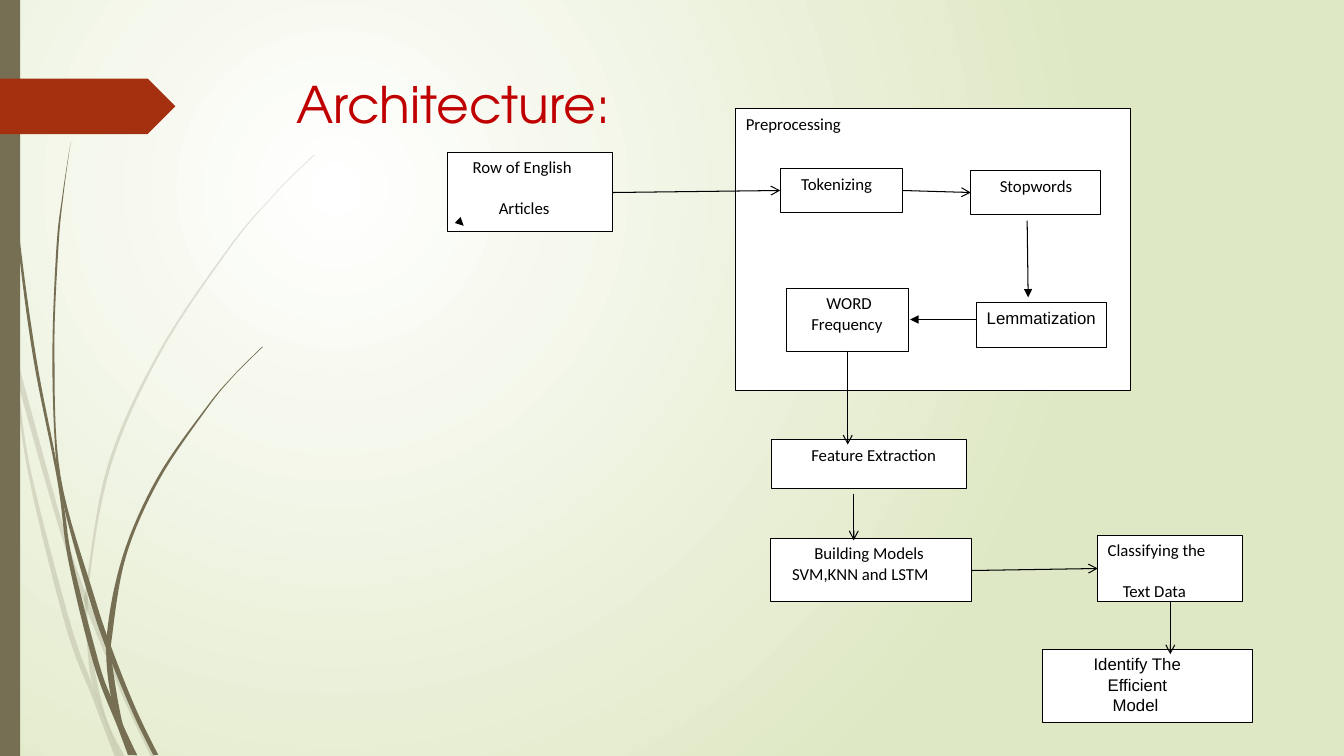
from dataclasses import dataclass

from lxml.etree import SubElement as Sub
from pptx import Presentation
from pptx.dml.color import RGBColor as RGB
from pptx.enum.shapes import MSO_CONNECTOR as Link, MSO_SHAPE as Kind
from pptx.enum.text import MSO_ANCHOR as Anchor, PP_ALIGN as Align
from pptx.oxml import parse_xml
from pptx.oxml.ns import nsdecls, qn
from pptx.util import Inches, Pt

# Grid: cells of a tenth of an inch, 133.33 columns by 75 rows
COLS, ROWS = 133.33, 75
BLACK = RGB(0x00, 0x00, 0x00)
WHITE = RGB(0xFF, 0xFF, 0xFF)
GREEN = RGB(0xDF, 0xE8, 0xC4)
OLIVE = RGB(0x76, 0x6F, 0x54)
RUST = RGB(0xA5, 0x30, 0x10)
RED = RGB(0xC0, 0x00, 0x00)
Point = tuple[float, float]


@dataclass
class Line:
    text: str
    indent: float = 0
    gap: float = 0


@dataclass
class Box:
    col: float
    row: float
    wide: float
    high: float
    lines: list[Line]
    font: str = "Calibri"


@dataclass
class Arrow:
    start: Point
    end: Point
    head: str = "arrow"


@dataclass
class Blade:
    left: list[Point]
    right: list[Point]
    alpha: int = 100


BLADES = [
    # Faded blades
    Blade([(0, 29.9), (1.1, 35), (2.8, 47), (6.5, 62.1), (9.2, 69.3), (11.4, 75.1)],
          [(11.9, 75.1), (9.3, 68.3), (7, 61.9), (3.1, 46.9), (1.7, 37.6),
           (0.9, 32.2), (0, 28.2)], 20),
    Blade([(1.4, 34.5), (1.7, 37.6), (5.8, 52.2), (8.4, 59.9), (8.8, 61),
           (12.3, 69.4), (15, 75.1)],
          [(15.5, 75.1), (12.7, 69.2), (8.8, 59.6), (6.2, 52), (1.4, 34.5)], 20),
    Blade([(31.2, 15.3), (28.9, 17.5), (26.8, 19.7), (22.8, 24.4), (15.8, 34.8),
           (10.7, 46.1), (8.5, 58.4), (8.4, 59.9), (8.7, 64.6), (9.3, 68.3),
           (11.9, 75.1)],
          [(12.4, 75.1), (10.5, 71.1), (9.1, 64.6), (8.8, 58.4), (11, 46.2),
           (16, 34.9), (22.9, 24.5), (26.8, 19.8), (29, 17.5), (31.2, 15.4)], 20),
    # Solid blades
    Blade([(0.3, 0), (0.7, 11), (1.7, 23.3), (3.3, 35.5), (5.7, 47.7), (6.8, 55.7),
           (9.3, 65.9), (11.7, 72.2), (12.7, 74.9)],
          [(13.6, 74.9), (12.2, 71.9), (11, 69.1), (9.8, 65.7), (7.2, 55.6),
           (6.4, 50.5), (5.5, 45.3), (3.6, 35.5), (1.9, 23.2), (0.8, 10.9), (0.4, 0)]),
    Blade([(7, 14.1), (6.2, 19.3), (5.6, 24.5), (5.2, 34.9), (5.5, 44.9), (6.4, 50.5),
           (8.8, 59.2), (10.6, 64.5), (13.2, 70.8), (15.2, 74.9)],
          [(15.7, 74.9), (13.6, 70.6), (11.3, 64.9), (9.3, 59), (6, 47.2),
           (5.4, 34.9), (5.8, 24.5), (6.3, 19.3), (7, 14.1)]),
    Blade([(26, 34.4), (23.1, 37.3), (20.4, 40.5), (15.6, 47.4), (12.2, 55.1),
           (10.6, 63.1), (11, 69.1), (12.2, 72.2), (13.3, 74.9)],
          [(13.6, 74.9), (12.2, 71.9), (11.1, 65.6), (11.1, 63.3), (12.5, 55.2),
           (15.8, 47.6), (20.5, 40.6), (23.1, 37.4), (26.1, 34.4)]),
]

BOXES = [
    Box(44.4, 15.1, 16.4, 7.9, [Line("Row of English", 1.5), Line("Articles", 4.1, 2)]),
    Box(73, 10.8, 39.2, 27.9, [Line("Preprocessing")]),
    Box(77.4, 16.7, 12.1, 4.4, [Line("Tokenizing", 1.1)]),
    Box(96.3, 16.9, 12.9, 4.4, [Line("Stopwords", 1.9)]),
    Box(78, 28.6, 12.1, 6.3, [Line("WORD", 3), Line("Frequency", 1.5)]),
    Box(96.9, 30, 12.9, 4.5, [Line("Lemmatization")], "Arial"),
    Box(76.5, 43.6, 19.4, 4.9, [Line("Feature Extraction", 3)]),
    Box(76.4, 53.4, 20, 6.3,
        [Line("Building Models", 3.4), Line("SVM,KNN and LSTM", 1.2)]),
    Box(108.9, 53.1, 14.4, 6.6, [Line("Classifying the"), Line("Text Data", 1.5, 2)]),
    Box(103.4, 64.4, 20.9, 7.3,
        [Line("Identify The", 4.1), Line("Efficient", 5.5), Line("Model", 6)], "Arial"),
]

ARROWS = [
    Arrow((101.9, 21.9), (102, 29.5), "triangle"),
    Arrow((45.9, 22.3), (46, 22.4), "triangle"),
    Arrow((96.9, 31.7), (90.3, 31.7), "triangle"),
    Arrow((84.1, 34.8), (84.1, 44.1)),
    Arrow((84.7, 49), (84.7, 53.6)),
    Arrow((96.4, 56.6), (108.9, 56.4)),
    Arrow((60.8, 19.1), (77.4, 18.9)),
    Arrow((89.5, 18.9), (96.3, 19.1)),
    Arrow((116.1, 59.7), (116.1, 64.9)),
]


def cell(*counts: float) -> list[int]:
    return [Inches(count / 10) for count in counts]


def paint(shape, color: RGB) -> None:
    shape.shadow.inherit = False
    shape.fill.solid()
    shape.fill.fore_color.rgb = color
    shape.line.fill.background()


def style(run, font: str, size: float, color: RGB) -> None:
    run.font.name, run.font.size = font, Pt(size)
    run.font.color.rgb = color


def curve(knots: list[Point], steps: int = 8) -> list[Point]:
    """Smooth curve through all the knots (Catmull-Rom)."""
    ends = [knots[0], *knots, knots[-1]]
    out = [knots[0]]
    for a, b, c, d in zip(ends, ends[1:], ends[2:], ends[3:]):
        for step in range(1, steps + 1):
            t = step / steps
            out.append(tuple(
                (2 * q + (r - p) * t + (2 * p - 5 * q + 4 * r - s) * t ** 2
                 + (3 * q - p - 3 * r + s) * t ** 3) / 2
                for p, q, r, s in zip(a, b, c, d)))
    return out


def draw_blade(shapes, blade: Blade) -> None:
    first, *rest = [cell(*spot) for spot in curve(blade.left) + curve(blade.right)]
    pen = shapes.build_freeform(*first)
    pen.add_line_segments(rest, close=True)
    shape = pen.convert_to_shape()
    paint(shape, OLIVE)
    if blade.alpha < 100:
        tint = shape._element.spPr.find(qn("a:solidFill"))[0]
        Sub(tint, qn("a:alpha"), val=str(blade.alpha * 1000))


def draw_box(shapes, box: Box) -> None:
    shape = shapes.add_shape(Kind.RECTANGLE, *cell(box.col, box.row, box.wide, box.high))
    paint(shape, WHITE)
    shape.line.color.rgb, shape.line.width = BLACK, Pt(0.75)
    frame = shape.text_frame
    frame.word_wrap, frame.vertical_anchor = True, Anchor.TOP
    frame.margin_right = 0
    frame.text = "\n".join(line.text for line in box.lines)
    for para, line in zip(frame.paragraphs, box.lines):
        para.alignment = Align.LEFT
        para.space_before = Pt(line.gap * 7.2)
        para._p.get_or_add_pPr().set("marL", str(cell(line.indent)[0]))
        style(para.runs[0], box.font, 12, BLACK)


def draw_arrow(shapes, arrow: Arrow) -> None:
    link = shapes.add_connector(Link.STRAIGHT, *cell(*arrow.start, *arrow.end))
    link.line.color.rgb, link.line.width = BLACK, Pt(0.75)
    Sub(link.line._get_or_add_ln(), qn("a:tailEnd"), type=arrow.head)
    Sub(link._element.spPr, qn("a:effectLst"))


def draw_back(slide) -> None:
    slide._element.cSld.insert(0, parse_xml(
        f'<p:bg {nsdecls("p", "a")}><p:bgPr><a:gradFill rotWithShape="1"><a:gsLst>'
        f'<a:gs pos="0"><a:srgbClr val="{WHITE}"/></a:gs>'
        f'<a:gs pos="100000"><a:srgbClr val="{GREEN}"/></a:gs></a:gsLst>'
        '<a:path path="circle"><a:fillToRect l="50000" t="50000" r="100000" b="100000"/>'
        '</a:path></a:gradFill><a:effectLst/></p:bgPr></p:bg>'))


def main() -> None:
    deck = Presentation()
    deck.slide_width, deck.slide_height = cell(COLS, ROWS)
    slide = deck.slides.add_slide(deck.slide_layouts[5])
    shapes = slide.shapes

    # Backdrop: gradient, grass, side bar and ribbon
    draw_back(slide)
    for blade in BLADES:
        draw_blade(shapes, blade)
    paint(shapes.add_shape(Kind.RECTANGLE, *cell(0, 0, 2, ROWS)), OLIVE)
    paint(shapes.add_shape(Kind.PENTAGON, *cell(0, 7.8, 17.4, 5.5)), RUST)

    # Title
    title = shapes.title
    title.left, title.top, title.width, title.height = cell(28.4, 6.8, 97.5, 14)
    frame = title.text_frame
    frame.text, frame.vertical_anchor = "Architecture:", Anchor.TOP
    frame.paragraphs[0].alignment = Align.LEFT
    style(frame.paragraphs[0].runs[0], "TeX Gyre Adventor", 36, RED)

    # Flow chart
    for box in BOXES:
        draw_box(shapes, box)
    for arrow in ARROWS:
        draw_arrow(shapes, arrow)
    deck.save("out.pptx")


if __name__ == "__main__":
    main()
